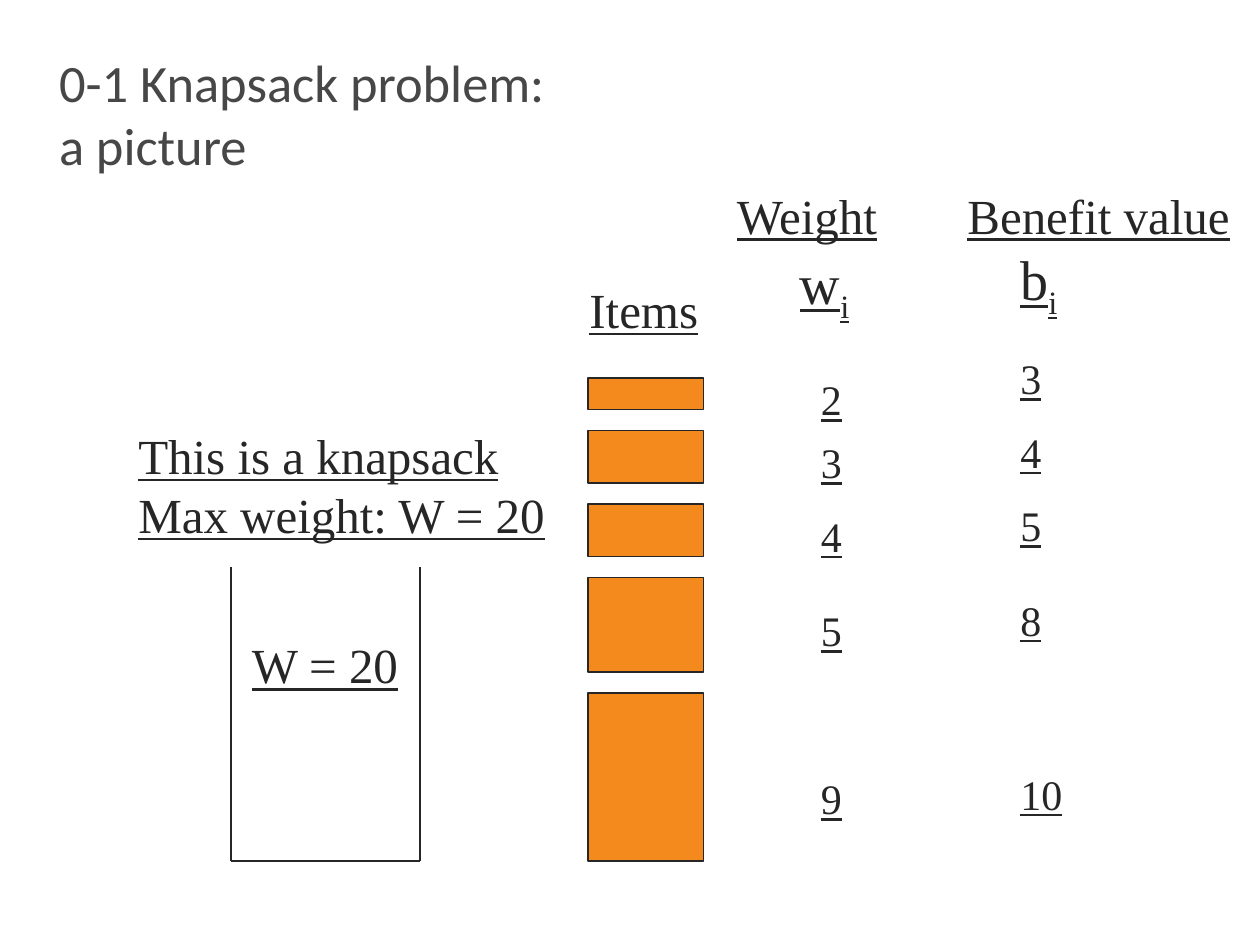
import pptx
import pptx.util
import pptx.dml.color
import pptx.enum.shapes
import pptx.enum.text
import lxml.etree

INK = pptx.dml.color.RGBColor(0x26, 0x26, 0x26)
TITLE_GREY = pptx.dml.color.RGBColor(0x47, 0x47, 0x47)
ORANGE = pptx.dml.color.RGBColor(0xF4, 0x89, 0x1E)
SERIF = "Times New Roman"
CELLS_PER_INCH = 12

TITLE_LINES = ["0-1 Knapsack problem:", "a picture"]

# TEXT, LEFT, TOP, WIDTH, HEIGHT
LABELS = [
    (["W = 20"], 1.9, 4.99, 1.37, 0.57),
    (["Weight"], 5.75, 1.42, 1.34, 0.57),
    (["Benefit value"], 7.58, 1.42, 2.28, 0.57),
    (["This is a knapsack", "Max weight: W = 20"], 1, 3.33, 3.44, 1.03),
    (["Items"], 4.58, 2.17, 1.06, 0.57),
]
SYMBOLS = [("w", 6.25, 1.92), ("b", 8, 1.89)]

ITEMS = [
    {"rows": 3, "weight": ("2", 35), "benefit": ("3", 33)},
    {"rows": 5, "weight": ("3", 41), "benefit": ("4", 40)},
    {"rows": 5, "weight": ("4", 48), "benefit": ("5", 47)},
    {"rows": 9, "weight": ("5", 57), "benefit": ("8", 56)},
    {"rows": 16, "weight": ("9", 73), "benefit": ("10", 72.6)},
]
ITEM_COLUMN, ITEM_COLUMNS, FIRST_ITEM_ROW, ROW_GAP = 56, 11, 36, 2
VALUE_COLUMNS = {"weight": 77, "benefit": 96}
VALUE_WIDTHS = {1: 0.37, 2: 0.53}
KNAPSACK_CORNERS = [(22, 54), (22, 82), (40, 82), (40, 54)]


def inches(value):
    return pptx.util.Inches(value)


def cells(count):
    return inches(count / CELLS_PER_INCH)


def add_run(paragraph, text, size, name=SERIF, color=INK, underline=True):
    run = paragraph.add_run()
    run.text = text
    run.font.size = pptx.util.Pt(size)
    run.font.name = name
    run.font.color.rgb = color
    run.font.underline = underline
    return run


def add_box(slide, left, top, width, height, wrap=False):
    box = slide.shapes.add_textbox(inches(left), inches(top), inches(width), inches(height))
    frame = box.text_frame
    frame.word_wrap = wrap
    return frame


def add_label(slide, lines, left, top, width, height, size):
    frame = add_box(slide, left, top, width, height)
    frame.auto_size = pptx.enum.text.MSO_AUTO_SIZE.SHAPE_TO_FIT_TEXT
    for index, line in enumerate(lines):
        paragraph = frame.add_paragraph() if index else frame.paragraphs[0]
        add_run(paragraph, line, size)


def add_title(slide):
    frame = add_box(slide, 0.37, 0.27, 9.49, 1.25, wrap=True)
    frame.vertical_anchor = pptx.enum.text.MSO_ANCHOR.MIDDLE
    paragraph = frame.paragraphs[0]
    for index, line in enumerate(TITLE_LINES):
        if index:
            paragraph.add_line_break()
        add_run(paragraph, line, 30, "Calibri", TITLE_GREY, False)


def add_knapsack(slide):
    group = slide.shapes.add_group_shape()
    for start, end in zip(KNAPSACK_CORNERS, KNAPSACK_CORNERS[1:]):
        side = group.shapes.add_connector(
            pptx.enum.shapes.MSO_CONNECTOR.STRAIGHT, *map(cells, start + end))
        side.line.color.rgb = INK
        side.line.width = pptx.util.Pt(0.75)
        lxml.etree.SubElement(side._element.spPr, pptx.oxml.ns.qn("a:effectLst"))


def add_symbol(slide, letter, left, top):
    frame = add_box(slide, left, top, 0.6, 0.63, wrap=True)
    frame.auto_size = pptx.enum.text.MSO_AUTO_SIZE.SHAPE_TO_FIT_TEXT
    add_run(frame.paragraphs[0], letter, 32)
    subscript = add_run(frame.paragraphs[0], "i", 32)
    subscript._r.get_or_add_rPr().set("baseline", "-25000")


def add_items(slide):
    row = FIRST_ITEM_ROW
    for item in ITEMS:
        block = slide.shapes.add_shape(
            pptx.enum.shapes.MSO_SHAPE.RECTANGLE,
            *map(cells, (ITEM_COLUMN, row, ITEM_COLUMNS, item["rows"])))
        block.shadow.inherit = False
        block.fill.solid()
        block.fill.fore_color.rgb = ORANGE
        block.line.color.rgb = INK
        block.line.width = pptx.util.Pt(0.75)
        row += item["rows"] + ROW_GAP
        for kind, column in VALUE_COLUMNS.items():
            text, value_row = item[kind]
            add_label(slide, [text], column / CELLS_PER_INCH, value_row / CELLS_PER_INCH,
                      VALUE_WIDTHS[len(text)], 0.5, 24)


def main():
    presentation = pptx.Presentation()
    presentation.slide_width = inches(10)
    presentation.slide_height = inches(7.5)
    slide = presentation.slides.add_slide(presentation.slide_layouts[6])
    add_title(slide)
    add_knapsack(slide)
    add_items(slide)
    for symbol in SYMBOLS:
        add_symbol(slide, *symbol)
    for label in LABELS:
        add_label(slide, *label, size=28)
    presentation.save("out.pptx")


if __name__ == "__main__":
    main()
